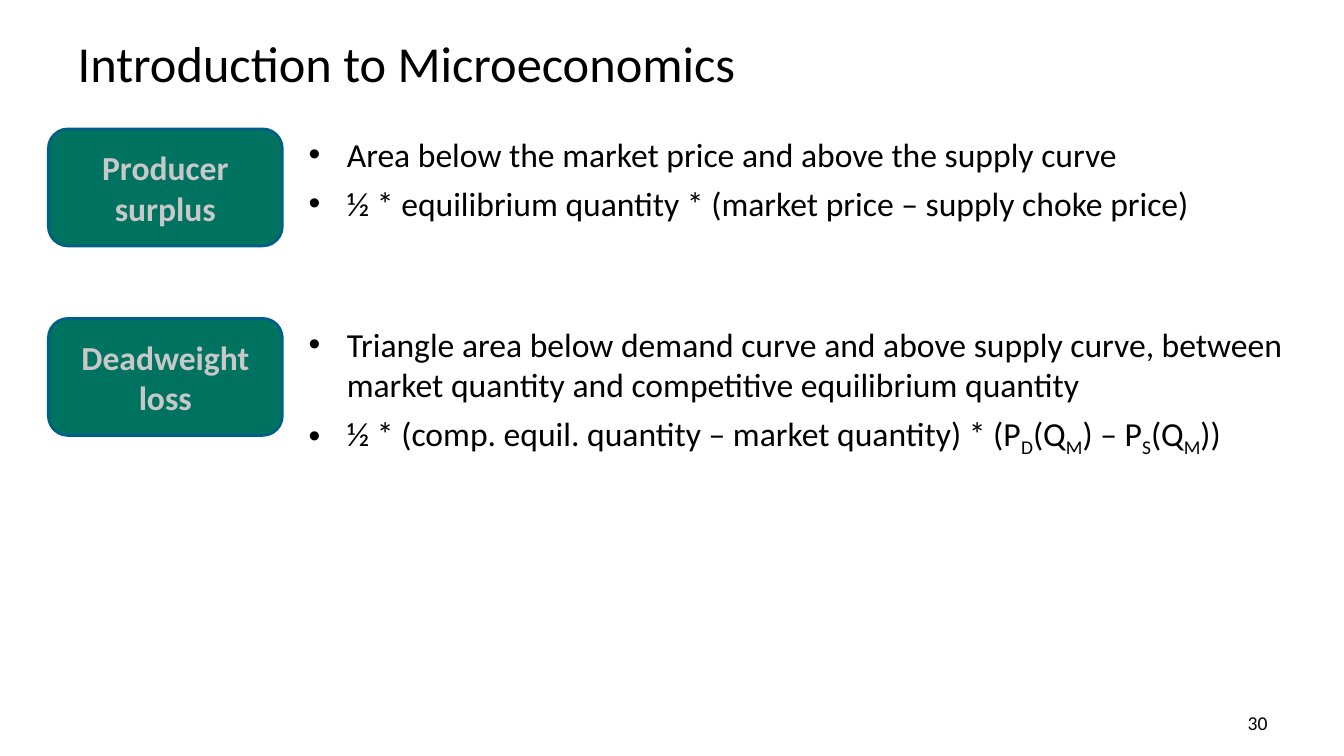
from dataclasses import dataclass

from lxml import etree
from pptx import Presentation
from pptx import util as u
from pptx.dml.color import RGBColor
from pptx.enum import shapes, text
from pptx.oxml.ns import qn


@dataclass
class Concept:
    label: str
    top: float
    height: float
    points: list[str]


FONT = "Calibri"
INDENT = 0.38
CONCEPTS = [
    Concept("Producer surplus", 1.28, 0.99, [
        "Area below the market price and above the supply curve",
        "½ * equilibrium quantity * (market price – supply choke price)",
    ]),
    Concept("Deadweight loss", 3.16, 1.4, [
        "Triangle area below demand curve and above supply curve, between "
        "market quantity and competitive equilibrium quantity",
        "½ * (comp. equil. quantity – market quantity) * "
        "(P_D_(Q_M_) – P_S_(Q_M_))",
    ]),
]


def rgb(value: str) -> RGBColor:
    return RGBColor.from_string(value)


def place(s, left: float, top: float, width: float, height: float) -> None:
    s.left, s.top = u.Inches(left), u.Inches(top)
    s.width, s.height = u.Inches(width), u.Inches(height)


def add_bullet(p) -> None:
    pPr = p._p.get_or_add_pPr()
    pPr.set("marL", str(u.Inches(INDENT)))
    pPr.set("indent", str(-u.Inches(INDENT)))
    etree.SubElement(pPr, qn("a:buFont")).set("typeface", "Arial")
    etree.SubElement(pPr, qn("a:buChar")).set("char", "•")


def write(s, lines: list[str], size: float = 24, color: str = "000000",
          bold: bool = False, align=text.PP_ALIGN.LEFT,
          anchor=text.MSO_ANCHOR.TOP, bullets: bool = False,
          after: float = 0) -> None:
    tf = s.text_frame
    tf.word_wrap = True
    tf.auto_size = text.MSO_AUTO_SIZE.NONE
    tf.vertical_anchor = anchor
    for i, line in enumerate(lines):
        p = tf.paragraphs[0] if i == 0 else tf.add_paragraph()
        if bullets:
            add_bullet(p)
        p.alignment = align
        p.line_spacing = 1.0
        p.space_before, p.space_after = u.Pt(0), u.Pt(after)
        for j, part in enumerate(line.split("_")):
            r = p.add_run()
            r.text = part
            r.font.name, r.font.size, r.font.bold = FONT, u.Pt(size), bold
            r.font.color.rgb = rgb(color)
            if j % 2:
                r._r.get_or_add_rPr().set("baseline", "-25000")


def add_concept(slide, body, concept: Concept) -> None:
    place(body, 2.96, concept.top, 9.89, concept.height)
    write(body, concept.points, bullets=True, after=6)
    s = slide.shapes.add_shape(shapes.MSO_SHAPE.ROUNDED_RECTANGLE, 0, 0, 0, 0)
    place(s, 0.48, concept.top, 2.32, 1.16)
    s.shadow.inherit = False
    s.fill.solid()
    s.fill.fore_color.rgb = rgb("007360")
    s.line.color.rgb = rgb("005F85")
    s.line.width = u.Pt(2)
    s.text_frame.margin_left = s.text_frame.margin_right = 0
    write(s, [concept.label], color="C8C8C8", bold=True,
          align=text.PP_ALIGN.CENTER, anchor=text.MSO_ANCHOR.MIDDLE)


def main() -> None:
    prs = Presentation()
    prs.slide_width, prs.slide_height = u.Inches(13.33), u.Inches(7.5)
    slide = prs.slides.add_slide(prs.slide_layouts.get_by_name("Two Content"))
    title = slide.shapes.title
    place(title, 0.67, 0.26, 12, 0.71)
    write(title, ["Introduction to Microeconomics"], size=36,
          anchor=text.MSO_ANCHOR.MIDDLE)
    for idx, concept in enumerate(CONCEPTS, start=1):
        add_concept(slide, slide.placeholders[idx], concept)
    number = slide.shapes.add_textbox(0, 0, 0, 0)
    place(number, 9.56, 7, 3.11, 0.34)
    write(number, ["30"], size=14, align=text.PP_ALIGN.RIGHT)
    prs.save("out.pptx")


if __name__ == "__main__":
    main()
